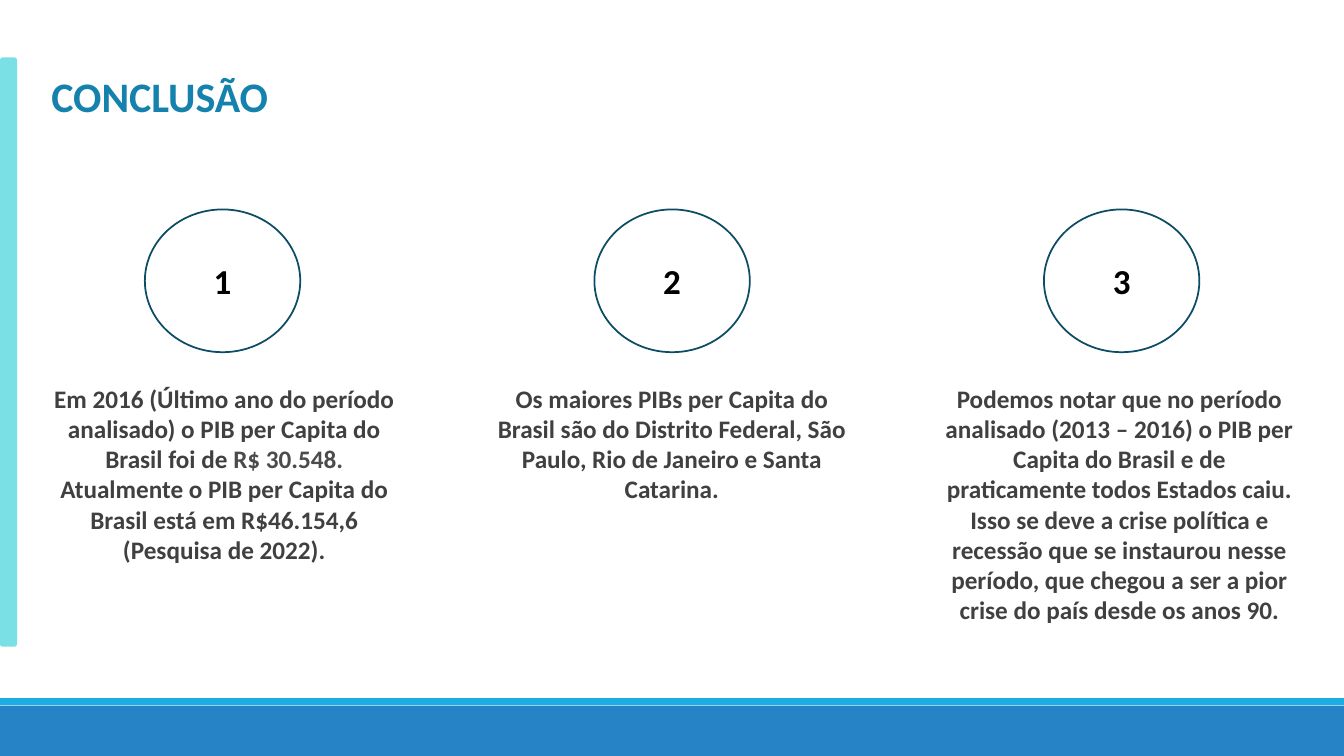
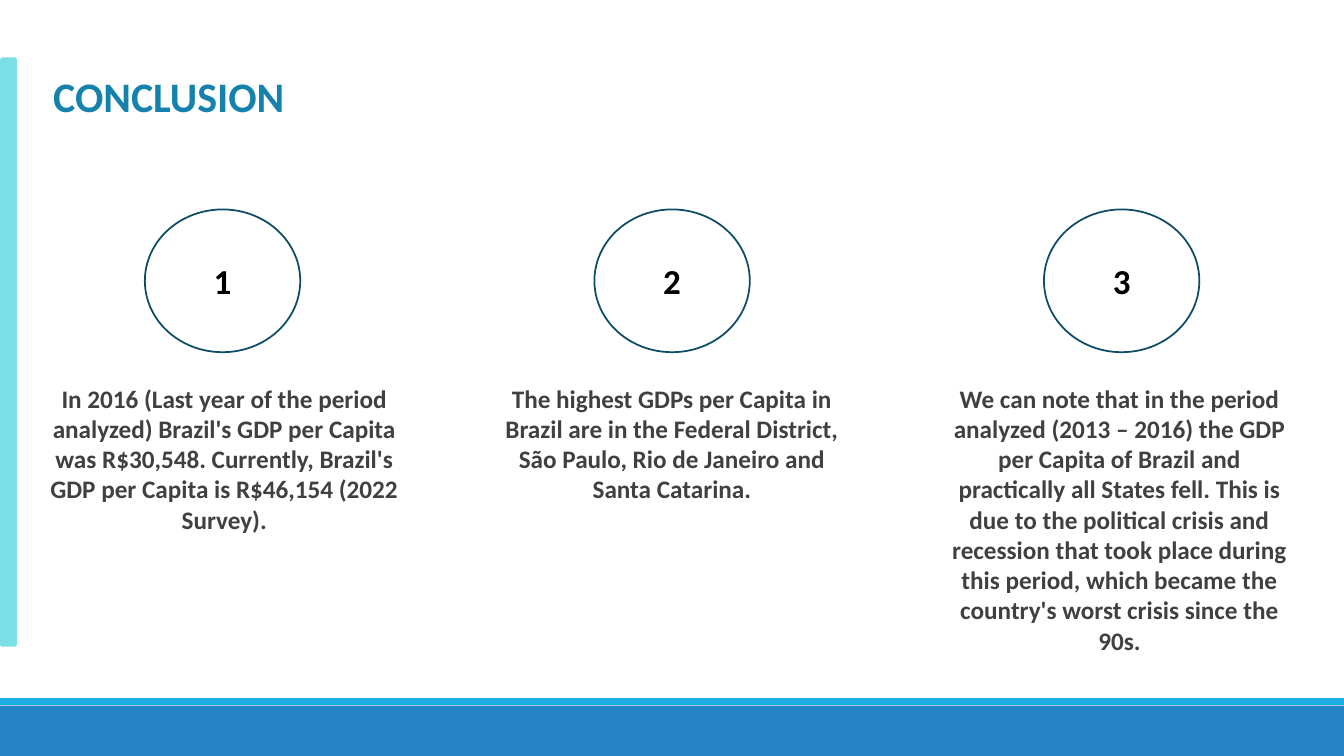
from dataclasses import dataclass

from pptx import Presentation
from pptx.dml.color import RGBColor
from pptx.enum.shapes import MSO_SHAPE
from pptx.enum.text import MSO_ANCHOR, MSO_AUTO_SIZE, PP_ALIGN
from pptx.shapes.autoshape import Shape
from pptx.slide import Slide
from pptx.util import Pt

RECTANGLE = MSO_SHAPE.RECTANGLE
ROUNDED_RECTANGLE = MSO_SHAPE.ROUNDED_RECTANGLE
OVAL = MSO_SHAPE.OVAL
MIDDLE = MSO_ANCHOR.MIDDLE
GROW = MSO_AUTO_SIZE.SHAPE_TO_FIT_TEXT
CENTER = PP_ALIGN.CENTER

WHITE = RGBColor(0xFF, 0xFF, 0xFF)
BLACK = RGBColor(0x00, 0x00, 0x00)
BLUE = RGBColor(0x26, 0x83, 0xC6)
SKY = RGBColor(0x1C, 0xAD, 0xE4)
AQUA = RGBColor(0x7A, 0xE0, 0xE5)
TITLE_BLUE = RGBColor(0x14, 0x82, 0xAC)
OUTLINE = RGBColor(0x0C, 0x4C, 0x64)
DARK_GRAY = RGBColor(0x40, 0x40, 0x40)
AMOUNT_GRAY = RGBColor(0x4B, 0x4B, 0x4C)

FONT = "Calibri"
SLIDE_WIDTH, SLIDE_HEIGHT = 960, 540
MARGIN = 27.36
TITLE_TOP, TITLE_HEIGHT = 46.8, 43.9
CIRCLE_LEFT, CIRCLE_TOP, CIRCLE_PITCH = 103.5, 149.6, 321.1
CIRCLE_WIDTH, CIRCLE_HEIGHT = 111, 102
FINDING_TOP, FINDING_WIDTH, FINDING_PITCH = 270, 265.7, 319.7
FINDING_SIZE, LINE_HEIGHT, INSETS = 18, 21.9, 7.2


@dataclass(frozen=True)
class Box:
    left: float
    top: float
    width: float
    height: float

    def lengths(self) -> tuple[Pt, Pt, Pt, Pt]:
        return Pt(self.left), Pt(self.top), Pt(self.width), Pt(self.height)


@dataclass(frozen=True)
class Words:
    text: str
    color: RGBColor = DARK_GRAY


@dataclass(frozen=True)
class Finding:
    words: tuple[Words, ...]
    lines: int


@dataclass(frozen=True)
class Conclusion:
    title: str
    title_width: float
    findings: tuple[Finding, ...]


@dataclass(frozen=True)
class Band:
    kind: MSO_SHAPE
    box: Box
    color: RGBColor


BANDS = (
    Band(RECTANGLE, Box(0, 504, SLIDE_WIDTH, 36), BLUE),
    Band(RECTANGLE, Box(0, 498.75, SLIDE_WIDTH, 5), SKY),
    Band(ROUNDED_RECTANGLE, Box(0, 41, 12.2, 421), AQUA),
)

CONCLUSIONS = (
    Conclusion("CONCLUSÃO", 173.5, (
        Finding((
            Words("Em 2016 (Último ano do período analisado) o PIB per Capita "
                  "do Brasil foi de "),
            Words("R$ 30.548. ", AMOUNT_GRAY),
            Words("Atualmente o PIB per Capita do Brasil está em R$46.154,6 "
                  "(Pesquisa de 2022)."),
        ), 7),
        Finding((Words(
            "Os maiores PIBs per Capita do Brasil são do Distrito Federal, "
            "São Paulo, Rio de Janeiro e Santa Catarina."),), 4),
        Finding((Words(
            "Podemos notar que no período analisado (2013 – 2016) o PIB per "
            "Capita do Brasil e de praticamente todos Estados caiu. Isso se "
            "deve a crise política e recessão que se instaurou nesse período, "
            "que chegou a ser a pior crise do país desde os anos 90."),), 9),
    )),
    Conclusion("CONCLUSION", 186.5, (
        Finding((Words(
            "In 2016 (Last year of the period analyzed) Brazil's GDP per "
            "Capita was R$30,548. Currently, Brazil's GDP per Capita is "
            "R$46,154 (2022 Survey)."),), 5),
        Finding((Words(
            "The highest GDPs per Capita in Brazil are in the Federal "
            "District, São Paulo, Rio de Janeiro and Santa Catarina."),), 4),
        Finding((Words(
            "We can note that in the period analyzed (2013 – 2016) the GDP "
            "per Capita of Brazil and practically all States fell. This is "
            "due to the political crisis and recession that took place during "
            "this period, which became the country's worst crisis since the "
            "90s."),), 9),
    )),
)


def write(shape: Shape, words: tuple[Words, ...], size: float) -> None:
    paragraph = shape.text_frame.paragraphs[0]
    paragraph.alignment = CENTER
    for part in words:
        run = paragraph.add_run()
        run.text = part.text
        run.font.name = FONT
        run.font.size = Pt(size)
        run.font.bold = True
        run.font.color.rgb = part.color


def add_filled(slide: Slide, kind: MSO_SHAPE, box: Box, color: RGBColor) -> Shape:
    shape = slide.shapes.add_shape(kind, *box.lengths())
    shape.shadow.inherit = False
    shape.fill.solid()
    shape.fill.fore_color.rgb = color
    shape.line.fill.background()
    return shape


def add_text(slide: Slide, box: Box, words: tuple[Words, ...], size: float,
             wrap: bool = True) -> None:
    shape = slide.shapes.add_textbox(*box.lengths())
    shape.text_frame.word_wrap = wrap
    shape.text_frame.auto_size = GROW
    write(shape, words, size)


def add_number(slide: Slide, index: int) -> None:
    box = Box(CIRCLE_LEFT + index * CIRCLE_PITCH, CIRCLE_TOP,
              CIRCLE_WIDTH, CIRCLE_HEIGHT)
    circle = add_filled(slide, OVAL, box, WHITE)
    circle.line.color.rgb = OUTLINE
    circle.line.width = Pt(1.25)
    circle.text_frame.vertical_anchor = MIDDLE
    write(circle, (Words(str(index + 1), BLACK),), 25)


def add_finding(slide: Slide, index: int, finding: Finding) -> None:
    box = Box(MARGIN + index * FINDING_PITCH, FINDING_TOP, FINDING_WIDTH,
              finding.lines * LINE_HEIGHT + INSETS)
    add_text(slide, box, finding.words, FINDING_SIZE)


def add_conclusion(presentation: Presentation, conclusion: Conclusion) -> None:
    slide = presentation.slides.add_slide(presentation.slide_layouts[6])
    for band in BANDS:
        add_filled(slide, band.kind, band.box, band.color)
    title_box = Box(MARGIN, TITLE_TOP, conclusion.title_width, TITLE_HEIGHT)
    add_text(slide, title_box, (Words(conclusion.title, TITLE_BLUE),), 30,
             wrap=False)
    for index, finding in enumerate(conclusion.findings):
        add_number(slide, index)
        add_finding(slide, index, finding)


def main() -> None:
    presentation = Presentation()
    presentation.slide_width = Pt(SLIDE_WIDTH)
    presentation.slide_height = Pt(SLIDE_HEIGHT)
    for conclusion in CONCLUSIONS:
        add_conclusion(presentation, conclusion)
    presentation.save("out.pptx")


if __name__ == "__main__":
    main()
